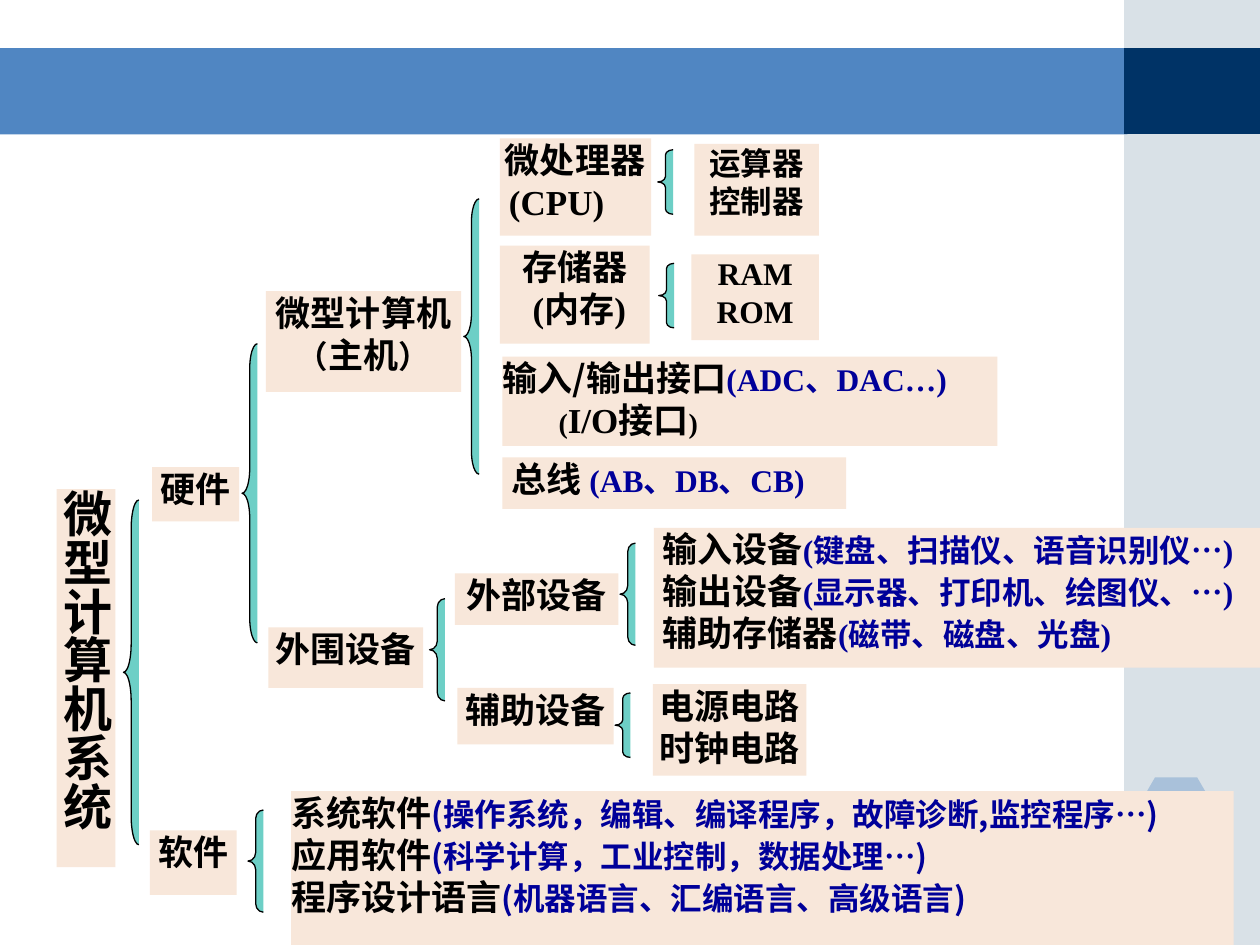
from dataclasses import dataclass

from lxml.etree import SubElement
from pptx import Presentation
from pptx.dml.color import RGBColor
from pptx.enum.shapes import MSO_SHAPE
from pptx.enum.text import MSO_ANCHOR, PP_ALIGN
from pptx.oxml.ns import qn
from pptx.util import Cm, Pt


@dataclass(frozen=True)
class Theme:
    """Colours, fonts and type sizes of the slide."""
    band: str = "5086C2"
    corner: str = "003366"
    side: str = "A0B5C4"
    box: str = "F8E7DA"
    brace: str = "6DCFC6"
    ink: str = "000000"
    note_ink: str = "000099"
    serif: str = "Times New Roman"
    sans: str = "Noto Sans CJK SC"
    mono: str = "Courier New"
    root: int = 28
    label: int = 20
    note: int = 18
    small: int = 16


THEME = Theme()
CENTER, LEFT, JUSTIFY = PP_ALIGN.CENTER, PP_ALIGN.LEFT, PP_ALIGN.JUSTIFY


@dataclass(frozen=True)
class Run:
    """A piece of text with one look."""
    text: str
    size: int = THEME.label
    color: str = THEME.ink
    font: str = THEME.serif


@dataclass(frozen=True)
class Line:
    """A paragraph of runs with a left indent in centimetres."""
    runs: tuple
    indent: float = 0


def line(text, size=THEME.label, indent=0):
    """Return a line of one plain run."""
    return Line((Run(text, size),), indent)


def noted(label, *notes, indent=0, fonts=(THEME.serif, THEME.serif)):
    """Return a label followed by blue notes, with ellipses set apart if asked."""
    label_font, note_font = fonts
    runs = [Run(label, font=label_font)]
    for note in notes:
        font = THEME.mono if note == "…" else note_font
        runs.append(Run(note, THEME.note, THEME.note_ink, font))
    return Line(tuple(runs), indent)


def software(label, *notes):
    """Return a noted line in the sans font."""
    return noted(label, *notes, fonts=(THEME.sans, THEME.sans))


def add_shape(slide, kind, place, color, alpha=None):
    """Add a flat filled shape placed by left, top, width and height."""
    shape = slide.shapes.add_shape(kind, *map(Cm, place))
    shape.shadow.inherit = False
    shape.fill.solid()
    shape.fill.fore_color.rgb = RGBColor.from_string(color)
    shape.line.fill.background()
    if alpha is not None:
        color_element = shape.fill._xPr.find(".//" + qn("a:srgbClr"))
        SubElement(color_element, qn("a:alpha")).set("val", str(alpha * 1000))
    return shape


def format_font(font, run):
    """Give a paragraph or run font the look of a run."""
    font.name = run.font
    font.size = Pt(run.size)
    font.bold = True
    font.color.rgb = RGBColor.from_string(run.color)
    east_asian = SubElement(font._element, qn("a:ea"))
    east_asian.set("typeface", THEME.sans)


def fill_paragraph(paragraph, content, alignment):
    """Write one line into a paragraph."""
    paragraph.alignment = alignment
    paragraph.line_spacing = Pt(1.2 * max(run.size for run in content.runs))
    if content.indent:
        paragraph._p.get_or_add_pPr().set("marL", str(Cm(content.indent)))
    for piece in content.runs:
        run = paragraph.add_run()
        run.text = piece.text
        if len(content.runs) > 1:
            format_font(run.font, piece)
    if len(content.runs) == 1:
        format_font(paragraph.font, content.runs[0])


def add_box(slide, place, lines, alignment=CENTER, vertical=False):
    """Add a text box shape of the tree."""
    frame = add_shape(slide, MSO_SHAPE.RECTANGLE, place, THEME.box).text_frame
    frame.margin_left = frame.margin_right = 0
    frame.margin_top = frame.margin_bottom = 0
    frame.vertical_anchor = MSO_ANCHOR.TOP
    frame.word_wrap = True
    if vertical:
        frame._txBody.bodyPr.set("vert", "eaVert")
    for index, content in enumerate(lines):
        paragraph = frame.add_paragraph() if index else frame.paragraphs[0]
        fill_paragraph(paragraph, content, alignment)


def add_brace(slide, left, top, height, width=0.31):
    """Add a left brace that joins a node to its children."""
    brace = add_shape(slide, MSO_SHAPE.LEFT_BRACE, (left, top, width, height), THEME.brace)
    brace.adjustments[0] = 0.083 * height / width
    brace.adjustments[1] = 0.5
    brace.line.color.rgb = RGBColor.from_string(THEME.ink)
    brace.line.width = Pt(0.75)


def add_backdrop(slide):
    """Add the header band, side column and hexagon."""
    add_shape(slide, MSO_SHAPE.RECTANGLE, (0, 0.97, 22.73, 1.74), THEME.band)
    add_shape(slide, MSO_SHAPE.RECTANGLE, (22.66, 0, 2.74, 19.05), THEME.side, 40)
    add_shape(slide, MSO_SHAPE.RECTANGLE, (22.66, 0.97, 2.74, 1.73), THEME.corner)
    hexagon = add_shape(slide, MSO_SHAPE.HEXAGON, (22.86, 15.67, 1.7, 1.47), THEME.band, 35)
    hexagon.adjustments[0] = 0.29


def add_nodes(slide):
    """Add the text boxes of the system tree."""
    add_box(slide, (1.14, 9.86, 1.19, 7.62), [line("微型计算机系统", THEME.root)], vertical=True)
    host = Line((Run("（", THEME.note), Run("主机"), Run("）", THEME.note)))
    ports = Line((Run("(", THEME.small), Run("I/O接口"), Run(")", THEME.small)), 1.13)
    centered = [
        ((3.07, 9.42, 1.75, 1.09), [line("硬件")]),
        ((5.36, 5.87, 3.94, 2.03), [line("微型计算机"), host]),
        ((3.02, 16.74, 1.75, 1.3), [line("软件")]),
        ((5.41, 12.65, 3.12, 1.22), [line("外围设备")]),
        ((14, 2.9, 2.51, 1.85), [line("运算器", THEME.note), line("控制器", THEME.note)]),
        ((10.08, 4.95, 3.02, 1.98), [line("存储器"), line("(内存)", indent=0.18)]),
        ((13.94, 5.13, 2.57, 1.73), [line("RAM", THEME.note), line("ROM", THEME.note)]),
        ((9.17, 11.56, 3.3, 1.04), [line("外部设备")]),
        ((9.22, 13.87, 3.15, 1.14), [line("辅助设备")]),
        ((13.16, 13.79, 3.1, 1.85), [line("电源电路"), line("时钟电路")]),
    ]
    for place, lines in centered:
        add_box(slide, place, lines)
    add_box(slide, (10.08, 2.79, 3.05, 1.96),
            [line("微处理器", indent=0.1), line("(CPU)", indent=0.18)], JUSTIFY)
    add_box(slide, (13.18, 10.64, 12.22, 2.82), [
        noted("输入设备", "(键盘、扫描仪、语音识别仪…)", indent=0.18),
        noted("输出设备", "(显示器、打印机、绘图仪、…)", indent=0.18),
        noted("辅助存储器", "(磁带、磁盘、光盘)", indent=0.18),
    ], JUSTIFY)
    add_box(slide, (10.13, 7.19, 9.98, 1.8), [
        noted("输入/输出接口", "(ADC、DAC…)", fonts=(THEME.sans, THEME.serif)),
        ports,
    ], LEFT)
    add_box(slide, (10.13, 9.22, 6.93, 1.04),
            [noted("总线 ", "(AB、DB、CB)", indent=0.18)], LEFT)
    add_box(slide, (5.87, 15.95, 19, 3.15), [
        software("系统软件", "(操作系统，编辑、编译程序，故障诊断,监控程序", "…", ")"),
        software("应用软件", "(科学计算，工业控制，数据处理", "…", ")"),
        software("程序设计语言", "(机器语言、汇编语言、高级语言)"),
    ], JUSTIFY)


def add_braces(slide):
    """Add the braces between the levels of the tree."""
    medium, short = 2.06, 1.3
    for left, top, height in (
        (2.49, 10.08, 6.95), (9.35, 4.01, 5.55), (4.88, 6.93, 6.03),
        (5, 16.33, medium), (8.66, 12.07, medium), (12.5, 10.95, medium),
        (12.4, 13.97, short), (13.26, 3.02, short), (13.28, 5.31, short),
    ):
        add_brace(slide, left, top, height)


def main():
    """Build the slide and save it."""
    presentation = Presentation()
    presentation.slide_width, presentation.slide_height = Cm(25.4), Cm(19.05)
    slide = presentation.slides.add_slide(presentation.slide_layouts[6])
    add_backdrop(slide)
    add_nodes(slide)
    add_braces(slide)
    presentation.save("out.pptx")


if __name__ == "__main__":
    main()
